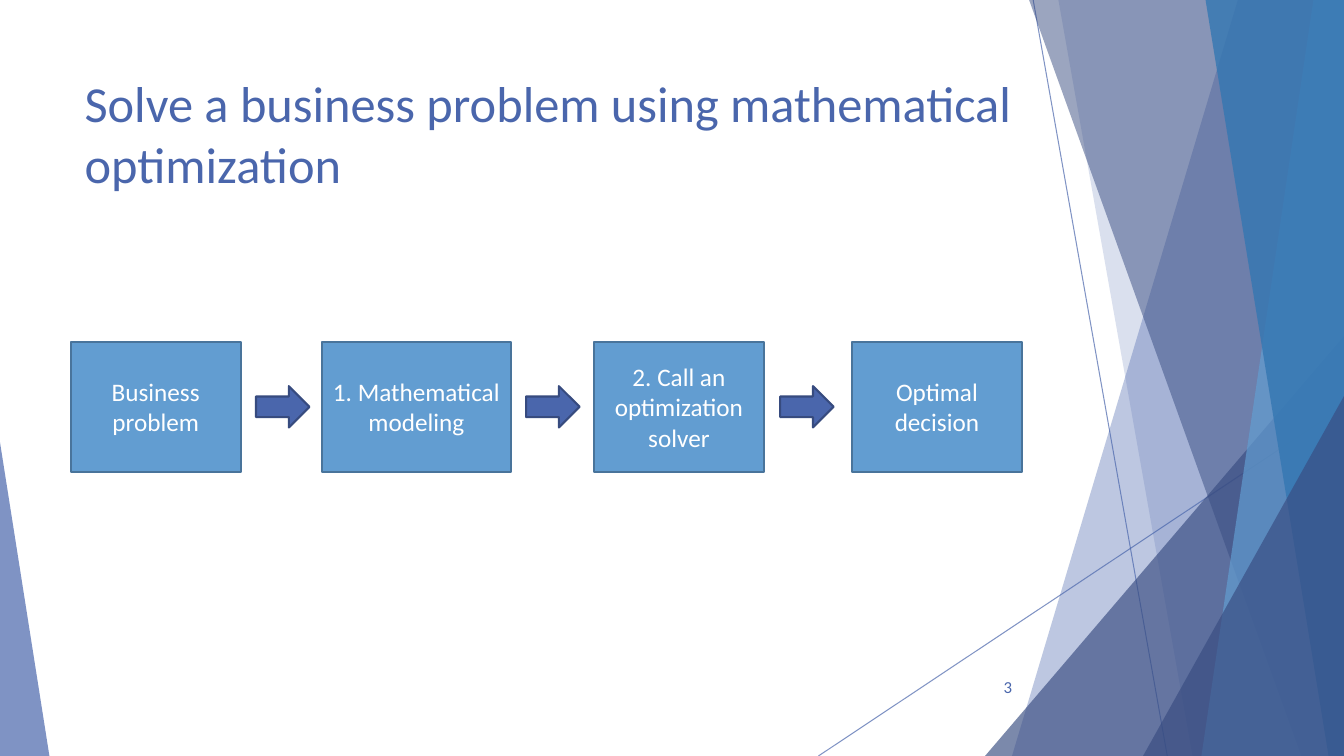
import dataclasses

import pptx
import pptx.dml.color
import pptx.enum.shapes
import pptx.enum.text
import pptx.oxml
import pptx.oxml.ns
import pptx.util

Pt = pptx.util.Pt
SHAPES = pptx.enum.shapes.MSO_SHAPE
ALIGN = pptx.enum.text.PP_ALIGN
ANCHOR = pptx.enum.text.MSO_ANCHOR

WIDTH, HEIGHT = 960, 540
COLORS = {
    "indigo": "4A66AC",
    "navy": "384C81",
    "sky": "629DD1",
    "ocean": "3477B2",
    "box_line": "49749B",
    "arrow_line": "374B7F",
    "white": "FFFFFF",
}


@dataclasses.dataclass
class Ray:
    start: tuple[float, float]
    end: tuple[float, float]


@dataclasses.dataclass
class Panel:
    """A band running from its slanted left edge to the right slide edge."""
    top_x: float
    bottom_x: float
    color: str
    opacity: int


@dataclasses.dataclass
class Wedge:
    """A right triangle standing on the bottom slide edge."""
    left: float
    width: float
    height: float
    peak: float
    color: str
    opacity: int


@dataclasses.dataclass
class Step:
    left: float
    width: float
    text: str


@dataclasses.dataclass
class Label:
    left: float
    top: float
    width: float
    height: float
    text: str
    size: float
    align: ALIGN
    anchor: ANCHOR


RAYS = [Ray((738, 0), (833.8, HEIGHT)), Ray((WIDTH, 290.2), (584.6, HEIGHT))]
BACKDROP = [
    Panel(884.2, 722.9, "indigo", 36),
    Panel(756, 851.8, "indigo", 20),
    Wedge(703.6, 256.4, 300, 1, "navy", 66),
    Panel(735.1, 929.5, "navy", 50),
    Panel(938.2, 858.2, "sky", 70),
    Panel(861.1, 949, "ocean", 80),
    Wedge(816.5, 143.5, 257, 1, "navy", 66),
    Wedge(0, 35.3, 224, 0, "indigo", 70),
]
LABELS = [
    Label(53.3, 48.2, 677, 103.7, "Solve a business problem using mathematical optimization",
          36, ALIGN.LEFT, ANCHOR.TOP),
    Label(676.1, 475.9, 54, 28.8, "3", 12, ALIGN.RIGHT, ANCHOR.MIDDLE),
]
STEPS = [
    Step(50.4, 121.7, "Business problem"),
    Step(229.7, 135.4, "1. Mathematical modeling"),
    Step(424.1, 121.7, "2. Call an optimization solver"),
    Step(608.4, 121.7, "Optimal decision"),
]
STEP_TOP, STEP_HEIGHT = 244.1, 92.9
ARROW_LEFTS = [182.9, 375.8, 557.3]
ARROW_WIDTH, ARROW_HEIGHT = 38.2, 29.5


def rgb(name: str) -> pptx.dml.color.RGBColor:
    return pptx.dml.color.RGBColor.from_string(COLORS[name])


def apply_format(target, values: dict) -> None:
    for name, value in values.items():
        setattr(target, name, value)


def set_opacity(parent, percent: int) -> None:
    for color in parent.iter(pptx.oxml.ns.qn("a:srgbClr")):
        alpha = color.makeelement(pptx.oxml.ns.qn("a:alpha"), {"val": str(percent * 1000)})
        color.append(alpha)


def paint(shape, fill: str, line: str | None = None) -> None:
    shape.shadow.inherit = False
    shape.fill.solid()
    shape.fill.fore_color.rgb = rgb(fill)
    if line:
        shape.line.color.rgb = rgb(line)
        shape.line.width = Pt(1.5)
    else:
        shape.line.fill.background()


def write_text(shape, text: str, size: float, color: str, align: ALIGN, anchor: ANCHOR) -> None:
    frame = shape.text_frame
    apply_format(frame, {"word_wrap": True, "vertical_anchor": anchor})
    paragraph = frame.paragraphs[0]
    apply_format(paragraph, {"text": text, "alignment": align})
    font = paragraph.runs[0].font
    apply_format(font, {"name": "Calibri", "size": Pt(size)})
    font.color.rgb = rgb(color)


def draw_ray(slide, ray: Ray) -> None:
    points = [Pt(value) for value in (*ray.start, *ray.end)]
    connector = slide.shapes.add_connector(pptx.enum.shapes.MSO_CONNECTOR.STRAIGHT, *points)
    connector.line.color.rgb = rgb("indigo")
    connector.line.width = Pt(0.75)
    properties = connector._element.spPr
    set_opacity(properties, 70)
    properties.append(pptx.oxml.parse_xml(f"<a:effectLst {pptx.oxml.ns.nsdecls('a')}/>"))


def draw_backdrop(slide, part: Panel | Wedge) -> None:
    if isinstance(part, Panel):
        builder = slide.shapes.build_freeform(Pt(part.top_x), 0)
        corners = [(WIDTH, 0), (WIDTH, HEIGHT), (part.bottom_x, HEIGHT)]
        builder.add_line_segments([(Pt(x), Pt(y)) for x, y in corners], close=True)
        shape = builder.convert_to_shape()
    else:
        shape = slide.shapes.add_shape(
            SHAPES.ISOSCELES_TRIANGLE, Pt(part.left), Pt(HEIGHT - part.height),
            Pt(part.width), Pt(part.height))
        shape.adjustments[0] = part.peak
    paint(shape, part.color)
    set_opacity(shape._element.spPr, part.opacity)


def draw_label(slide, label: Label) -> None:
    box = slide.shapes.add_textbox(
        Pt(label.left), Pt(label.top), Pt(label.width), Pt(label.height))
    write_text(box, label.text, label.size, "indigo", label.align, label.anchor)


def draw_step(slide, step: Step) -> None:
    box = slide.shapes.add_shape(
        SHAPES.RECTANGLE, Pt(step.left), Pt(STEP_TOP), Pt(step.width), Pt(STEP_HEIGHT))
    paint(box, "sky", "box_line")
    write_text(box, step.text, 18, "white", ALIGN.CENTER, ANCHOR.MIDDLE)


def draw_arrow(slide, left: float) -> None:
    top = STEP_TOP + (STEP_HEIGHT - ARROW_HEIGHT) / 2
    arrow = slide.shapes.add_shape(
        SHAPES.RIGHT_ARROW, Pt(left), Pt(top), Pt(ARROW_WIDTH), Pt(ARROW_HEIGHT))
    paint(arrow, "indigo", "arrow_line")


def main() -> None:
    presentation = pptx.Presentation()
    apply_format(presentation, {"slide_width": Pt(WIDTH), "slide_height": Pt(HEIGHT)})
    slide = presentation.slides.add_slide(presentation.slide_layouts[6])

    # Decorative facets
    for ray in RAYS:
        draw_ray(slide, ray)
    for part in BACKDROP:
        draw_backdrop(slide, part)

    # Title and slide number
    for label in LABELS:
        draw_label(slide, label)

    # Process chain
    for step in STEPS:
        draw_step(slide, step)
    for left in ARROW_LEFTS:
        draw_arrow(slide, left)

    presentation.save("out.pptx")


if __name__ == "__main__":
    main()
